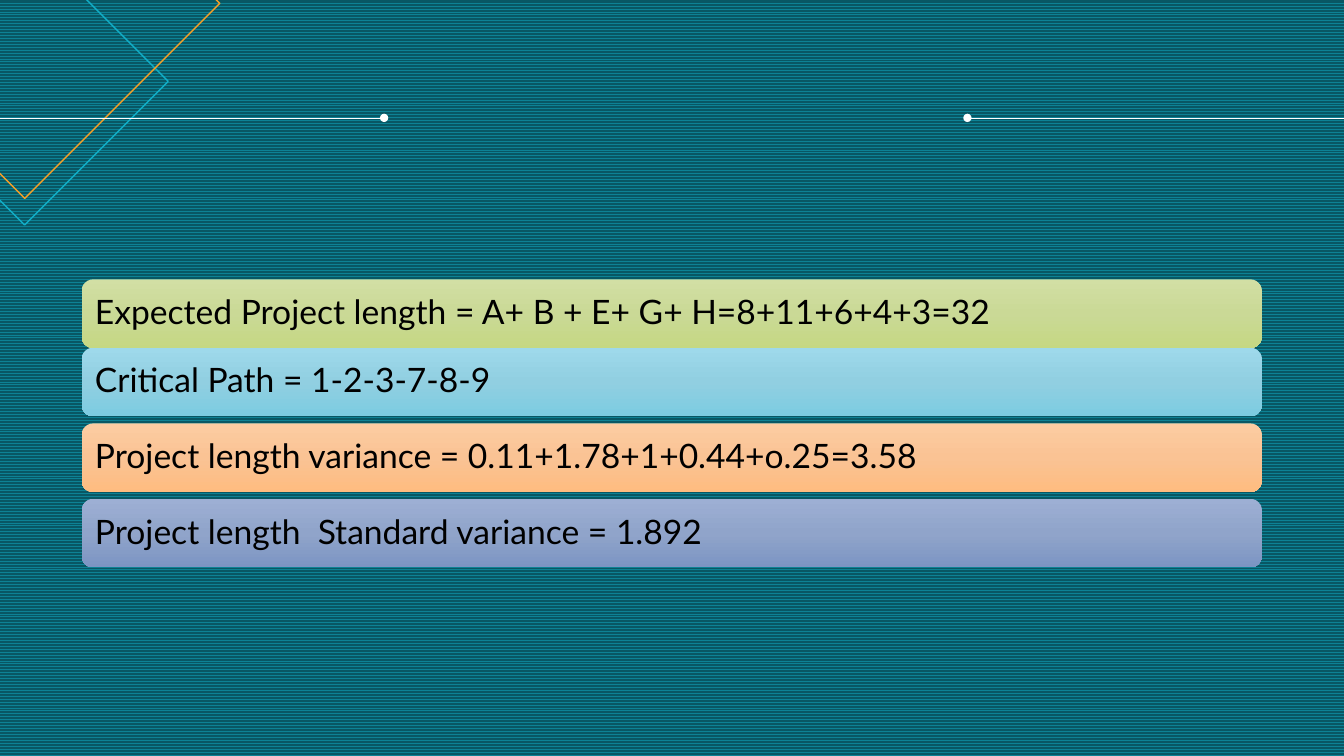
"""Build the project length results slide."""
import copy

import pptx
import pptx.dml.color
import pptx.enum.dml
import pptx.enum.shapes
import pptx.enum.text
import pptx.oxml
import pptx.oxml.ns
import pptx.util

Cm = pptx.util.Cm
SHAPES = pptx.enum.shapes.MSO_SHAPE
SLIDE_WIDTH = 33.87
RULE_TOP = 2.97
COLOURS = {
    "pattern": "0D8295",
    "ground": "085764",
    "teal": "11AEC7",
    "orange": "F59F26",
    "rule": "FFFFFF",
    "text": "000000",
}
RESULTS = [
    ("Expected Project length = A+ B + E+ G+ H=8+11+6+4+3=32", 7.04,
     ("D2DFA4", "CAD996", "C5D883")),
    ("Critical Path = 1-2-3-7-8-9", 8.76,
     ("9ED9EB", "91CFE1", "7CCCE1")),
    ("Project length variance = 0.11+1.78+1+0.44+o.25=3.58", 10.67,
     ("FCCCA2", "FAC394", "FEBC80")),
    ("Project length  Standard variance = 1.892", 12.57,
     ("9DAFD4", "90A4CA", "7C95C3")),
]


def rgb(value):
    return pptx.dml.color.RGBColor.from_string(value)


def paint_background(page):
    fill = page.background.fill
    fill.patterned()
    fill.pattern = pptx.enum.dml.MSO_PATTERN.ZIG_ZAG
    fill.fore_color.rgb = rgb(COLOURS["pattern"])
    fill.back_color.rgb = rgb(COLOURS["ground"])


def add_diamond(page, left, top, size, colour):
    diamond = page.shapes.add_shape(
        SHAPES.DIAMOND, Cm(left), Cm(top), Cm(size), Cm(size))
    diamond.shadow.inherit = False
    diamond.fill.background()
    diamond.line.color.rgb = rgb(colour)
    diamond.line.width = pptx.util.Pt(1)


def fill_gradient(box, colours):
    box.fill.gradient()
    box.fill.gradient_angle = 270
    stop_list = box.element.spPr.find(".//" + pptx.oxml.ns.qn("a:gsLst"))
    stop_list.insert(1, copy.deepcopy(stop_list[0]))
    for index, stop in enumerate(box.fill.gradient_stops):
        stop.position = index / 2
        stop.color.rgb = rgb(colours[index])


def add_result_bar(page, text, top, colours):
    box = page.shapes.add_shape(
        SHAPES.ROUNDED_RECTANGLE, Cm(2.06), Cm(top), Cm(29.74), Cm(1.73))
    box.shadow.inherit = False
    box.line.fill.background()
    fill_gradient(box, colours)
    frame = box.text_frame
    frame.text = text
    frame.word_wrap = True
    frame.vertical_anchor = pptx.enum.text.MSO_ANCHOR.MIDDLE
    frame.margin_left = frame.margin_right = Cm(0.25)
    frame.margin_top = frame.margin_bottom = Cm(0.25)
    para = frame.paragraphs[0]
    para.alignment = pptx.enum.text.PP_ALIGN.LEFT
    para.line_spacing = 0.9
    span = para.runs[0]
    span.font.name = "Lato"
    span.font.size = pptx.util.Pt(24)
    span.font.color.rgb = rgb(COLOURS["text"])


def add_dotted_end_rule(page, dot_left, edge_left):
    rule = page.shapes.add_connector(
        pptx.enum.shapes.MSO_CONNECTOR.STRAIGHT,
        Cm(dot_left), Cm(RULE_TOP), Cm(edge_left), Cm(RULE_TOP))
    rule.line.color.rgb = rgb(COLOURS["rule"])
    rule.line.width = pptx.util.Pt(0.5)
    head = pptx.oxml.parse_xml(
        f'<a:headEnd {pptx.oxml.ns.nsdecls("a")} type="oval"/>')
    rule.line._get_or_add_ln().append(head)
    rule.element.spPr.append(pptx.oxml.parse_xml(
        f'<a:effectLst {pptx.oxml.ns.nsdecls("a")}/>'))


def main():
    deck = pptx.Presentation()
    deck.slide_width = Cm(SLIDE_WIDTH)
    deck.slide_height = Cm(19.05)
    page = deck.slides.add_slide(deck.slide_layouts[6])
    paint_background(page)
    add_diamond(page, -3, -1.57, 7.24, COLOURS["teal"])
    add_diamond(page, -4.29, -4.83, 9.83, COLOURS["orange"])
    for text, top, colours in RESULTS:
        add_result_bar(page, text, top, colours)
    add_dotted_end_rule(page, 24.38, SLIDE_WIDTH)
    add_dotted_end_rule(page, 9.68, 0)
    deck.save("out.pptx")


if __name__ == "__main__":
    main()
